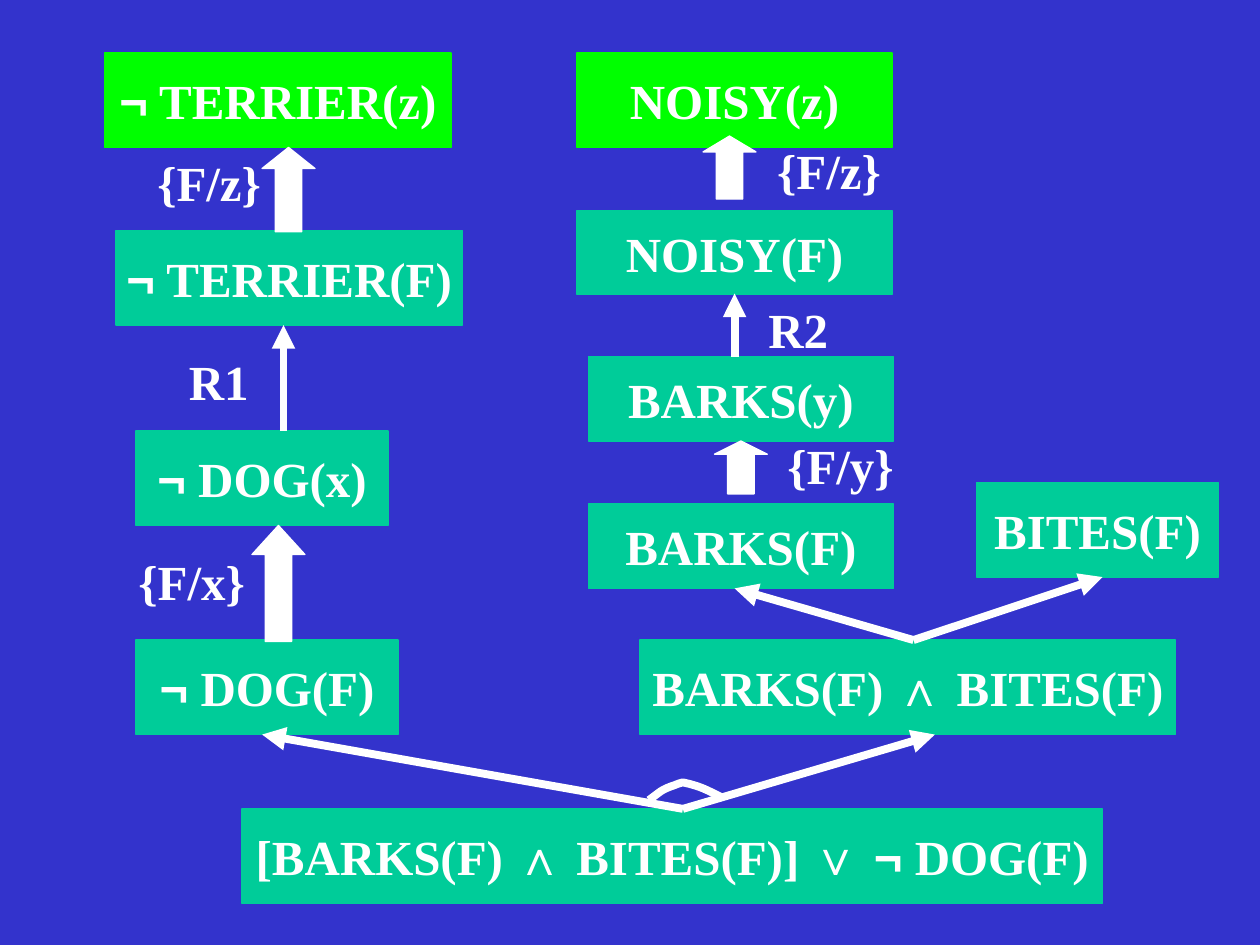
from typing import NamedTuple

from lxml import etree
from pptx import Presentation
from pptx import util as u
from pptx.dml.color import RGBColor
from pptx.enum import shapes, text
from pptx.oxml import ns

BLUE = RGBColor(0x33, 0x33, 0xCC)
TEAL = RGBColor(0x00, 0xCC, 0x99)
GREEN = RGBColor(0x00, 0xFF, 0x00)
WHITE = RGBColor(0xFF, 0xFF, 0xFF)

LETTER_FONT = "Times New Roman"
SYMBOL_FONT = "Arial"
FONT_FORMAT = {"size": u.Pt(28), "bold": True}
FRAME_FORMAT = {
    "word_wrap": False,
    "margin_left": u.Inches(0.1),
    "margin_right": u.Inches(0.1),
    "margin_top": u.Inches(0.05),
    "margin_bottom": u.Inches(0.05),
}
SYMBOL_MARK = "|"
CURVE_STEPS = 8

Point = tuple[float, float]


class Clause(NamedTuple):
    formula: str
    left: float
    top: float
    width: float
    height: float = 0.75
    color: RGBColor = TEAL


class Label(NamedTuple):
    wording: str
    left: float
    top: float
    width: float


class Match(NamedTuple):
    left: float
    top: float
    height: float
    head: float


class Link(NamedTuple):
    start: Point
    end: Point


CLAUSES = [
    Clause("|¬| TERRIER(z)", 0.83, 0.42, 2.75, color=GREEN),
    Clause("|¬| TERRIER(F)", 0.92, 1.83, 2.75),
    Clause("|¬| DOG(x)", 1.08, 3.42, 2),
    Clause("|¬| DOG(F)", 1.08, 5.08, 2.08),
    Clause("BITES(F)", 7.75, 3.83, 1.92),
    Clause("[BARKS(F) |∧| BITES(F)] |∨ ¬| DOG(F)", 1.92, 6.42, 6.83),
    Clause("BARKS(F) |∧| BITES(F)", 5.08, 5.08, 4.25),
    Clause("BARKS(F)", 4.67, 4, 2.42, 0.67),
    Clause("BARKS(y)", 4.67, 2.83, 2.42, 0.67),
    Clause("NOISY(F)", 4.58, 1.67, 2.5, 0.67),
    Clause("NOISY(z)", 4.58, 0.42, 2.5, color=GREEN),
]
BRANCHES = [
    Link((5.42, 6.42), (2.08, 5.83)),
    Link((5.42, 6.42), (7.42, 5.83)),
    Link((7.25, 5.08), (8.75, 4.58)),
    Link((7.25, 5.08), (5.83, 4.67)),
]
RULES = [
    Link((2.25, 3.42), (2.25, 2.58)),
    Link((5.83, 2.83), (5.83, 2.33)),
]
MATCHES = [
    Match(2, 4.17, 0.92, 0.55),
    Match(2.08, 1.17, 0.67, 0.4),
    Match(5.58, 1.08, 0.5, 0.3),
    Match(5.67, 3.5, 0.42, 0.25),
]
LABELS = [
    Label("{F/x}", 1, 4.33, 1.07),
    Label("R1", 1.4, 2.74, 0.7),
    Label("{F/z}", 1.15, 1.16, 1.04),
    Label("{F/y}", 6.15, 3.41, 1.07),
    Label("R2", 6, 2.33, 0.7),
    Label("{F/z}", 6.07, 1.07, 1.04),
]
AND_ARC = [
    ((5.15, 6.35), (5.25, 6.28), (5.24, 6.27), (5.36, 6.23)),
    ((5.36, 6.23), (5.38, 6.22), (5.42, 6.21), (5.42, 6.21)),
    ((5.42, 6.21), (5.56, 6.24), (5.61, 6.27), (5.73, 6.33)),
]


def apply_format(target, values: dict) -> None:
    for name, value in values.items():
        setattr(target, name, value)


def write(frame, wording: str, alignment, anchor) -> None:
    apply_format(frame, FRAME_FORMAT | {"vertical_anchor": anchor})
    paragraph = frame.paragraphs[0]
    paragraph.alignment = alignment
    for index, part in enumerate(wording.split(SYMBOL_MARK)):
        if part:
            run = paragraph.add_run()
            run.text = part
            font_name = SYMBOL_FONT if index % 2 else LETTER_FONT
            apply_format(run.font, FONT_FORMAT | {"name": font_name})
            run.font.color.rgb = WHITE


def add_solid(slide, kind, box: tuple, color: RGBColor):
    shape = slide.shapes.add_shape(kind, *map(u.Inches, box))
    shape.shadow.inherit = False
    shape.fill.solid()
    shape.fill.fore_color.rgb = color
    shape.line.color.rgb = color
    shape.line.width = u.Pt(0.75)
    return shape


def add_clause(slide, clause: Clause) -> None:
    box = (clause.left, clause.top, clause.width, clause.height)
    shape = add_solid(slide, shapes.MSO_SHAPE.RECTANGLE, box, clause.color)
    write(shape.text_frame, clause.formula, text.PP_ALIGN.CENTER, text.MSO_ANCHOR.MIDDLE)


def add_match(slide, match: Match) -> None:
    box = (match.left, match.top, 0.42, match.height)
    shape = add_solid(slide, shapes.MSO_SHAPE.UP_ARROW, box, WHITE)
    shape.adjustments[0] = 0.5
    shape.adjustments[1] = match.head


def add_label(slide, label: Label) -> None:
    box = (label.left, label.top, label.width, 0.57)
    shape = slide.shapes.add_textbox(*map(u.Inches, box))
    write(shape.text_frame, label.wording, text.PP_ALIGN.LEFT, text.MSO_ANCHOR.TOP)
    shape.text_frame.auto_size = text.MSO_AUTO_SIZE.SHAPE_TO_FIT_TEXT


def draw_stroke(shape) -> None:
    shape.line.color.rgb = WHITE
    shape.line.width = u.Pt(4.5)


def add_link(slide, link: Link) -> None:
    ends = map(u.Inches, link.start + link.end)
    connector = slide.shapes.add_connector(shapes.MSO_CONNECTOR.STRAIGHT, *ends)
    draw_stroke(connector)
    line = connector.line._get_or_add_ln()
    etree.SubElement(line, ns.qn("a:tailEnd"), type="triangle")
    etree.SubElement(connector._element.spPr, ns.qn("a:effectLst"))


def curve_point(curve: tuple[Point, ...], t: float) -> Point:
    weights = ((1 - t) ** 3, 3 * t * (1 - t) ** 2, 3 * t**2 * (1 - t), t**3)
    x, y = (sum(w * v for w, v in zip(weights, axis)) for axis in zip(*curve))
    return u.Inches(x), u.Inches(y)


def add_arc(slide, curves: list) -> None:
    points = [
        curve_point(curve, step / CURVE_STEPS)
        for curve in curves
        for step in range(1, CURVE_STEPS + 1)
    ]
    builder = slide.shapes.build_freeform(*curve_point(curves[0], 0))
    builder.add_line_segments(points, close=False)
    shape = builder.convert_to_shape()
    shape.shadow.inherit = False
    shape.fill.background()
    draw_stroke(shape)


def main() -> None:
    presentation = Presentation()
    presentation.slide_width = u.Inches(10)
    presentation.slide_height = u.Inches(7.5)
    slide = presentation.slides.add_slide(presentation.slide_layouts[6])
    slide.background.fill.solid()
    slide.background.fill.fore_color.rgb = BLUE
    for clause in CLAUSES:
        add_clause(slide, clause)
    for link in BRANCHES + RULES:
        add_link(slide, link)
    add_arc(slide, AND_ARC)
    for match in MATCHES:
        add_match(slide, match)
    for label in LABELS:
        add_label(slide, label)
    presentation.save("out.pptx")


if __name__ == "__main__":
    main()
